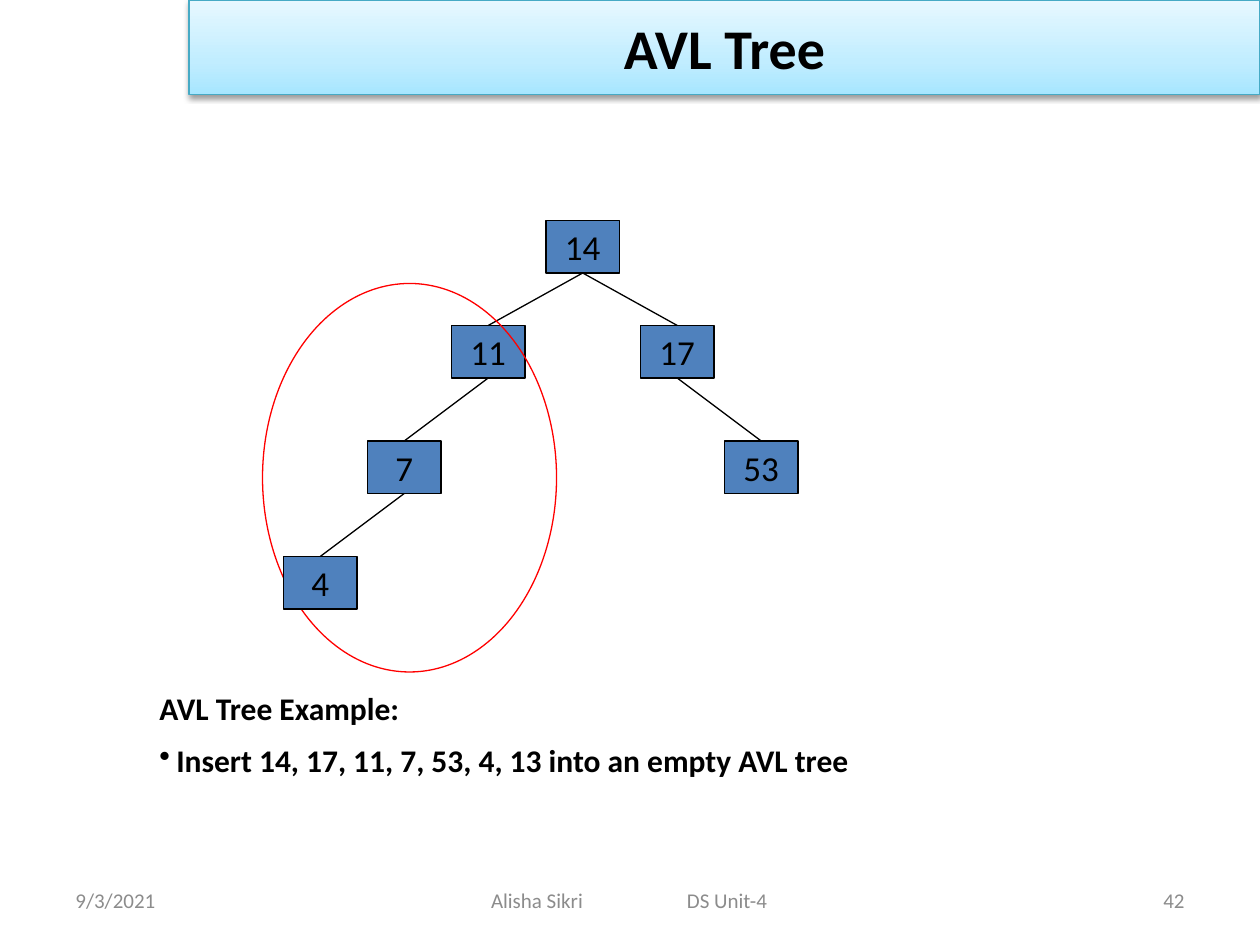
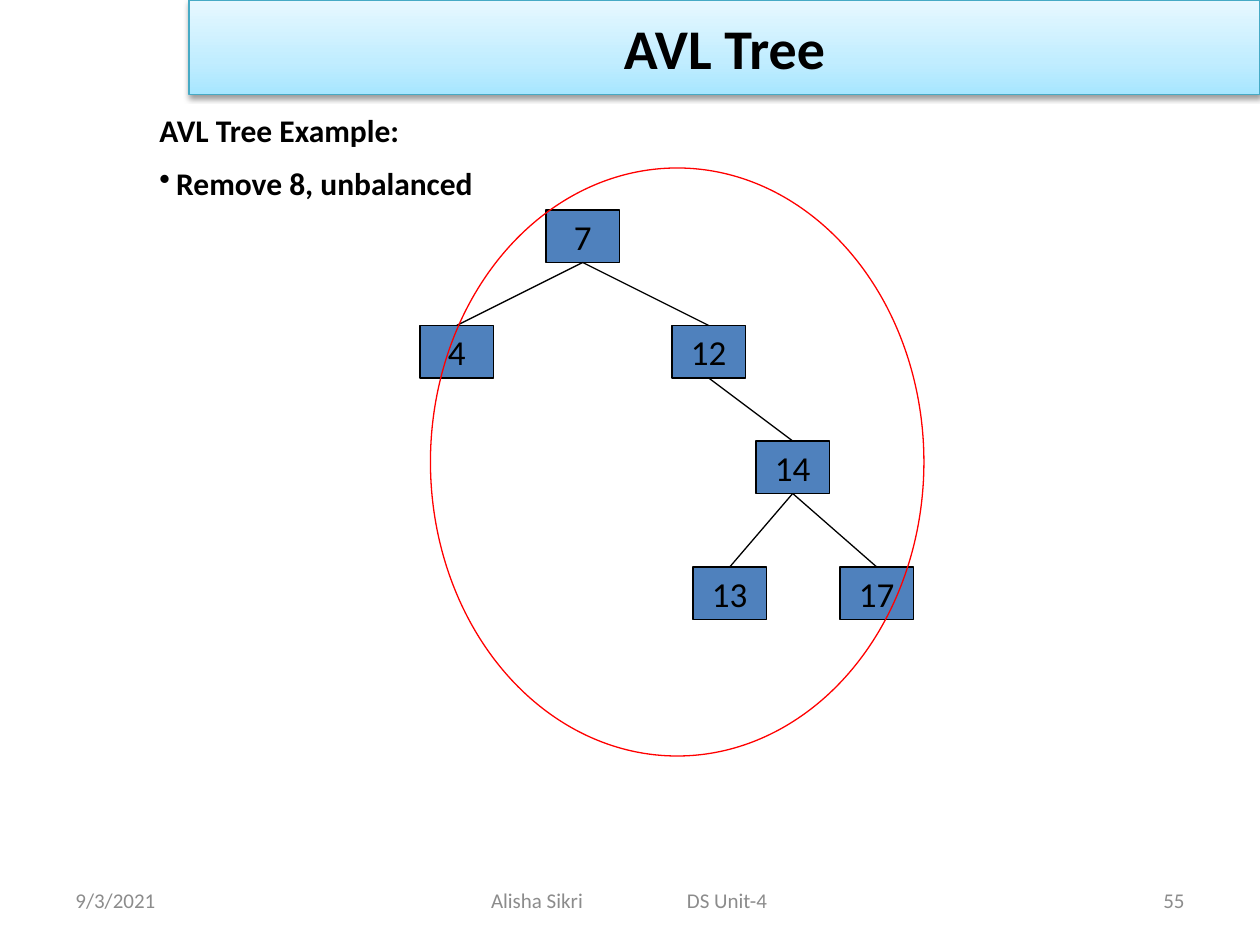
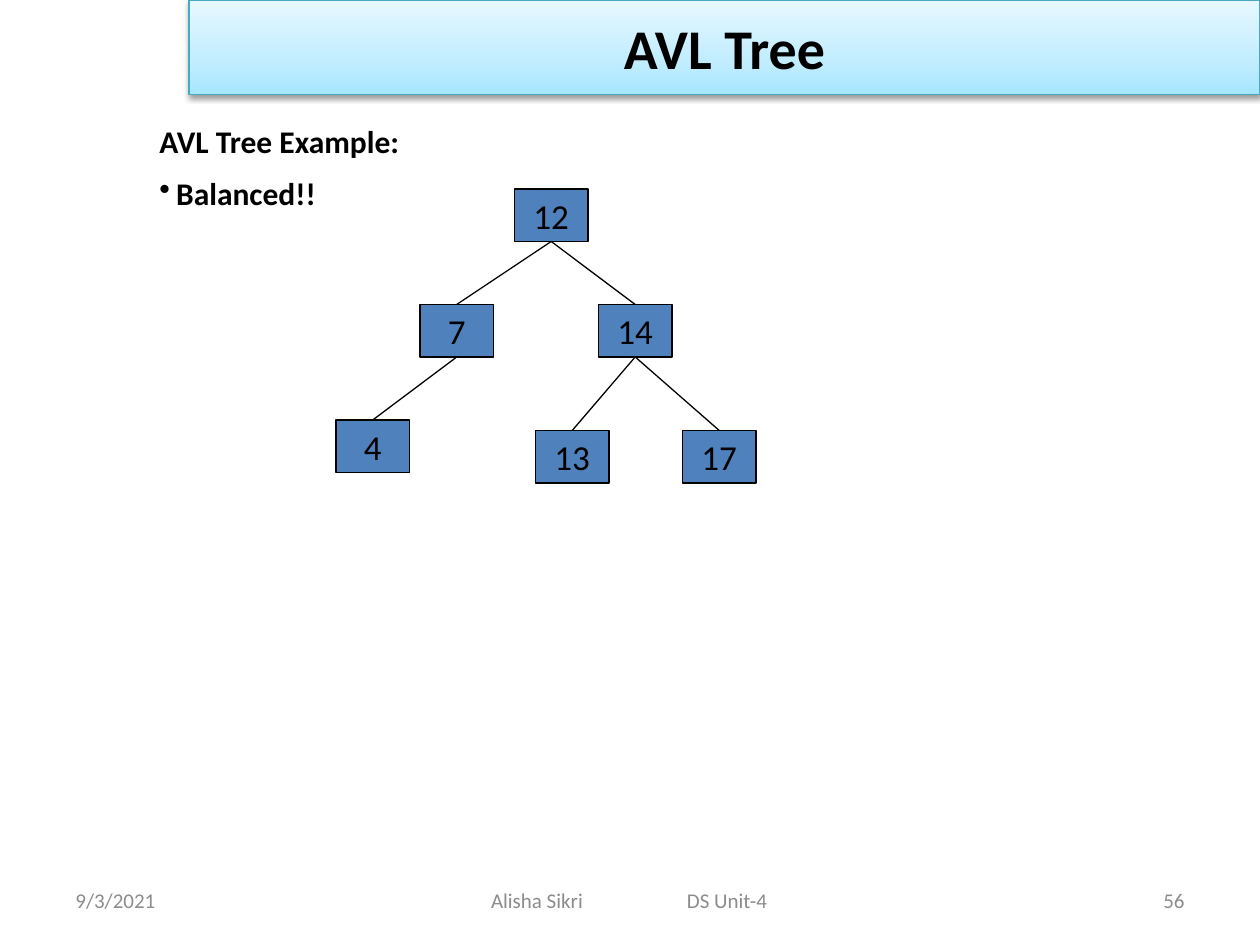
from pptx import Presentation
from pptx.dml.color import RGBColor
from pptx.enum.shapes import MSO_CONNECTOR as Connector, MSO_SHAPE as Shape
from pptx.enum.text import MSO_ANCHOR as Anchor, PP_ALIGN as Align
from pptx.oxml import parse_xml
from pptx.oxml.ns import nsdecls
from pptx.util import Cm, Pt

# Shared look
FONT = "Calibri"
BLACK = RGBColor(0x00, 0x00, 0x00)
NODE_BLUE = RGBColor(0x4F, 0x81, 0xBD)
RING_RED = RGBColor(0xFF, 0x00, 0x00)
BAND_EDGE = RGBColor(0x46, 0xAA, 0xC5)
FOOTER_GREY = RGBColor(0x8C, 0x8C, 0x8C)
BAND_STOPS = [
    (0, RGBColor(0xA7, 0xE6, 0xFF)),
    (35, RGBColor(0xC1, 0xED, 0xFF)),
    (100, RGBColor(0xE7, 0xF8, 0xFF)),
]
THIN = Pt(0.75)

# Placement is in grid steps, twelve to the inch
STEP = 2.54 / 12
NODE_SIZE = (7, 5)
BAND = (18, 0, 102, 9)
FOOTER_TOP, FOOTER_HEIGHT = Cm(17.65), Cm(1.01)
NOTE_HEIGHT = Cm(2.18)
BULLET_INDENT = Cm(0.34)

# Content
TITLE = "AVL Tree"
HEADING = "AVL Tree Example:"
DATE = "9/3/2021"
AUTHOR = "Alisha Sikri\tDS Unit-4"

# Each node: value, parent, left, top
SLIDES = [
    {
        "number": "42",
        "bullet": "Insert 14, 17, 11, 7, 53, 4, 13 into an empty AVL tree",
        "note": (14, 65, 94),
        "nodes": [("14", None, 52, 21), ("17", "14", 61, 31), ("11", "14", 43, 31),
                  ("7", "11", 35, 42), ("53", "17", 69, 42)],
        "ring": (25, 27, 28, 37),
        "nodes_over_ring": [("4", "7", 27, 53)],
    },
    {
        "number": "55",
        "bullet": "Remove 8, unbalanced",
        "note": (14, 10, 101),
        "nodes": [("7", None, 52, 20), ("4", "7", 40, 31), ("12", "7", 64, 31),
                  ("14", "12", 72, 42), ("13", "14", 66, 54), ("17", "14", 80, 54)],
        "ring": (41, 16, 47, 56),
    },
    {
        "number": "56",
        "bullet": "Balanced!!",
        "note": (14, 11, 101),
        "nodes": [("12", None, 49, 18), ("7", "12", 40, 29), ("14", "12", 57, 29),
                  ("4", "7", 32, 40), ("13", "14", 51, 41), ("17", "14", 65, 41)],
    },
]


def grid(*steps):
    return [Cm(step * STEP) for step in steps]


def write(para, text, size, color=BLACK, bold=False, align=Align.LEFT):
    para.alignment = align
    span = para.add_run()
    span.text = text
    font = span.font
    font.name, font.size, font.bold = FONT, Pt(size), bold
    font.color.rgb = color


def add_band(page):
    band = page.shapes.title
    band.left, band.top, band.width, band.height = grid(*BAND)
    stops = "".join(f'<a:gs pos="{pos * 1000}"><a:srgbClr val="{color}"/></a:gs>'
                    for pos, color in BAND_STOPS)
    properties = band._element.spPr
    properties.append(parse_xml(
        f'<a:gradFill {nsdecls("a")}><a:gsLst>{stops}</a:gsLst>'
        '<a:lin ang="16200000" scaled="0"/></a:gradFill>'))
    properties.append(parse_xml(
        f'<a:effectLst {nsdecls("a")}><a:outerShdw blurRad="40000" dist="20000" '
        'dir="5400000" rotWithShape="0"><a:srgbClr val="000000">'
        '<a:alpha val="38000"/></a:srgbClr></a:outerShdw></a:effectLst>'))
    band.line.color.rgb = BAND_EDGE
    band.line.width = THIN
    band.text_frame.vertical_anchor = Anchor.MIDDLE
    write(band.text_frame.paragraphs[0], TITLE, 32, bold=True, align=Align.CENTER)


def add_note(page, place, bullet):
    left, top, width = grid(*place)
    frame = page.shapes.add_textbox(left, top, width, NOTE_HEIGHT).text_frame
    frame.word_wrap = True
    write(frame.paragraphs[0], HEADING, 18, bold=True)
    para = frame.add_paragraph()
    settings = para._p.get_or_add_pPr()
    settings.set("marL", str(BULLET_INDENT))
    settings.set("indent", str(-BULLET_INDENT))
    settings.append(parse_xml(f'<a:buChar {nsdecls("a")} char="•"/>'))
    para.space_before = Pt(8.5)
    write(para, bullet, 18, bold=True)


def add_outline(page, kind, place, color):
    shape = page.shapes.add_shape(kind, *grid(*place))
    shape.shadow.inherit = False
    shape.line.color.rgb = color
    shape.line.width = THIN
    return shape


def add_branch(page, parent, child):
    branch = page.shapes.add_connector(Connector.STRAIGHT, 0, 0, 0, 0)
    branch.begin_connect(parent, 2)
    branch.end_connect(child, 0)
    branch.line.color.rgb = BLACK
    branch.line.width = THIN
    branch._element.spPr.append(parse_xml(f'<a:effectLst {nsdecls("a")}/>'))


def add_nodes(page, nodes, boxes):
    for value, parent, left, top in nodes:
        box = add_outline(page, Shape.RECTANGLE, (left, top, *NODE_SIZE), BLACK)
        box.fill.solid()
        box.fill.fore_color.rgb = NODE_BLUE
        box.text_frame.word_wrap = False
        box.text_frame.vertical_anchor = Anchor.MIDDLE
        write(box.text_frame.paragraphs[0], value, 20, align=Align.CENTER)
        boxes[value] = box
        if parent:
            add_branch(page, boxes[parent], box)


def add_footer(page, number):
    parts = [(DATE, 6, 28, Align.LEFT), (AUTHOR, 41, 38, Align.LEFT),
             (number, 86, 28, Align.RIGHT)]
    for text, left, width, align in parts:
        left, width = grid(left, width)
        box = page.shapes.add_textbox(left, FOOTER_TOP, width, FOOTER_HEIGHT)
        frame = box.text_frame
        frame.word_wrap = True
        frame.vertical_anchor = Anchor.MIDDLE
        para = frame.paragraphs[0]
        if "\t" in text:
            frame.margin_left = Cm(1.22)
            para._p.get_or_add_pPr().append(parse_xml(
                f'<a:tabLst {nsdecls("a")}><a:tab pos="{Cm(3.95)}" algn="l"/></a:tabLst>'))
        write(para, text, 12, color=FOOTER_GREY, align=align)


def main():
    deck = Presentation()
    deck.slide_width, deck.slide_height = Cm(25.4), Cm(19.05)
    for content in SLIDES:
        page = deck.slides.add_slide(deck.slide_layouts[5])
        add_band(page)
        add_note(page, content["note"], content["bullet"])
        # Tree, with the unbalanced part ringed
        boxes = {}
        add_nodes(page, content["nodes"], boxes)
        if "ring" in content:
            add_outline(page, Shape.OVAL, content["ring"], RING_RED).fill.background()
        add_nodes(page, content.get("nodes_over_ring", []), boxes)
        add_footer(page, content["number"])
    deck.save("out.pptx")


if __name__ == "__main__":
    main()
